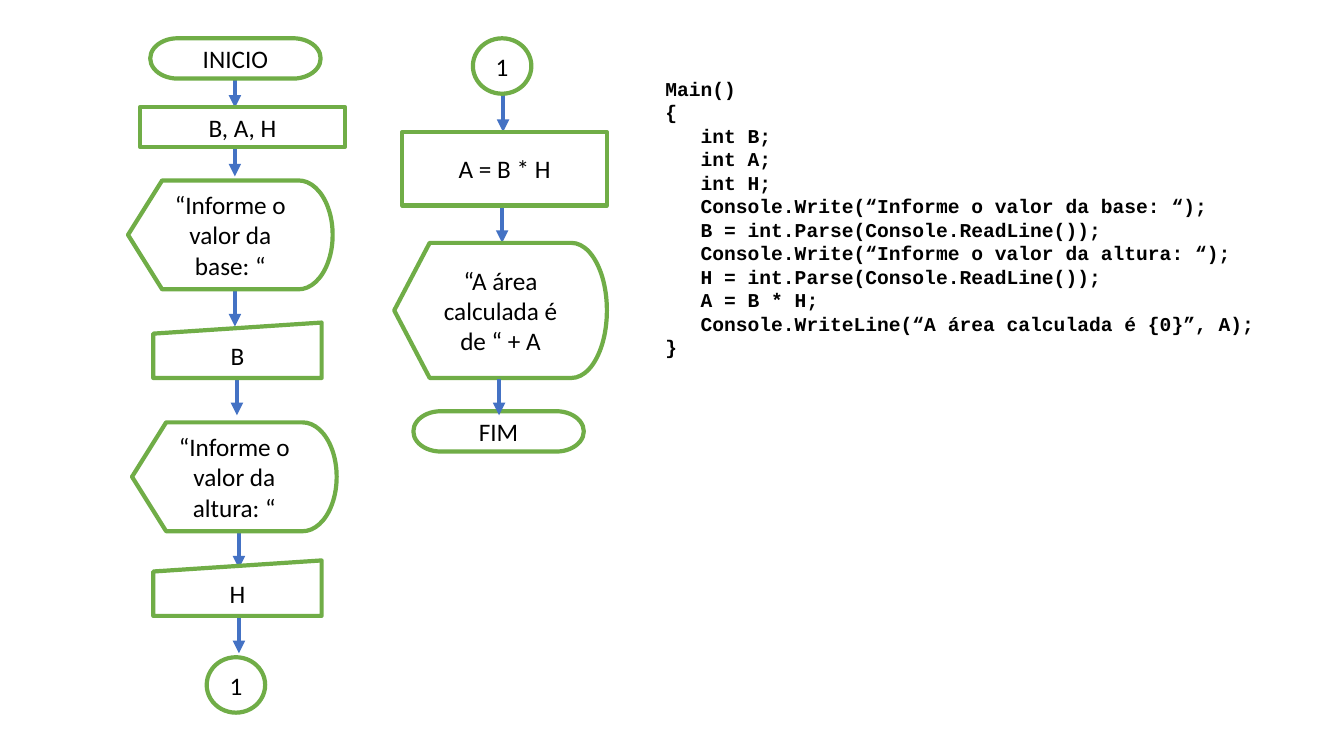
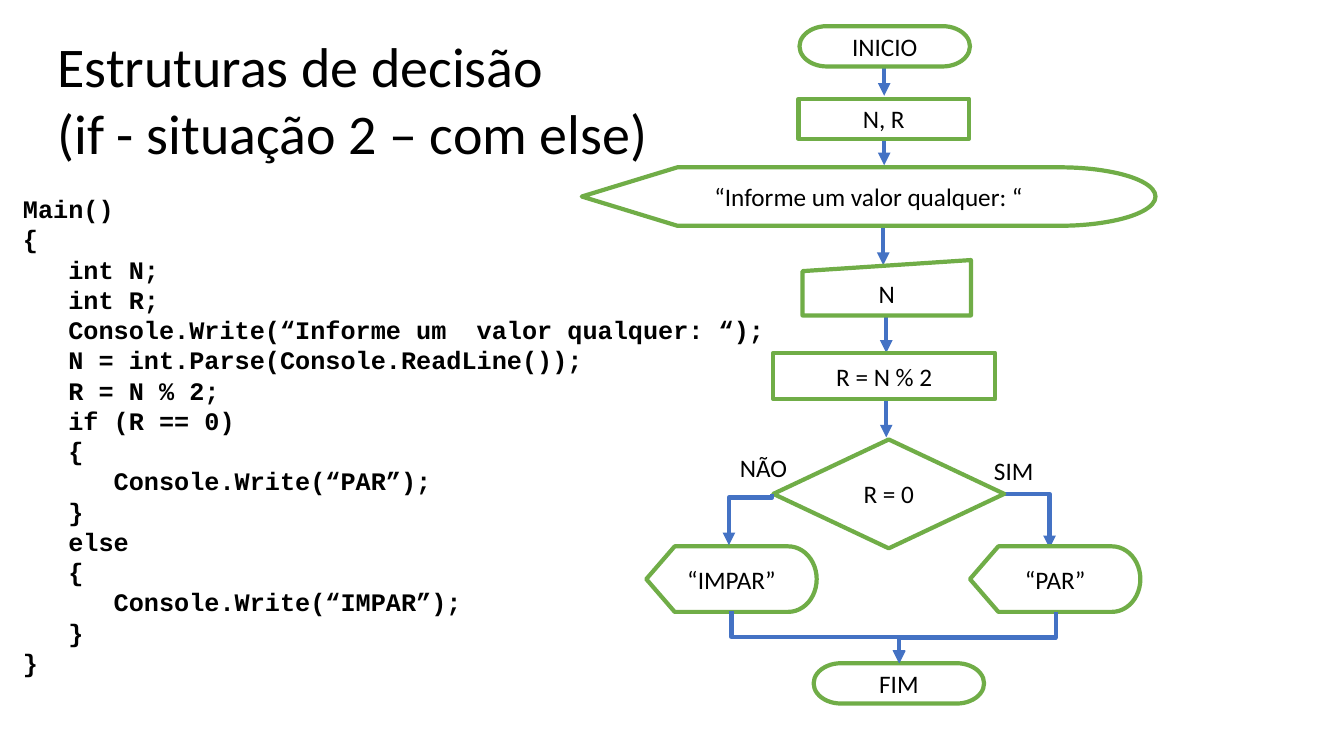
from lxml.etree import SubElement
from pptx import Presentation
from pptx.dml.color import RGBColor
from pptx.enum.shapes import MSO_CONNECTOR as LINE, MSO_SHAPE as SHAPE
from pptx.enum.text import MSO_ANCHOR as ANCHOR, MSO_AUTO_SIZE as FIT, PP_ALIGN as ALIGN
from pptx.oxml.ns import qn
from pptx.util import Inches, Pt

COLORS = {"fill": "FFFFFF", "outline": "70AD47", "arrow": "4472C4", "text": "000000"}
LABEL = {"name": "Calibri", "size": Pt(18), "bold": False}
TITLE = {"name": "Calibri", "size": Pt(40), "bold": False}
CODE_SMALL = {"name": "Courier New", "size": Pt(14), "bold": True}
CODE_LARGE = {"name": "Courier New", "size": Pt(18), "bold": True}
TAB = 3          # characters per code indent
CHAR_RATIO = 0.6  # Courier New character width / font size
LINE_WIDTH = Pt(3)

# Sizes shared by the flowchart symbols
TERMINAL = (1.69, 0.4)
INPUT = (1.67, 0.55)
LINK = (0.58, 0.55)
PROMPT = (2.03, 1.08)
RESULT = (1.69, 0.65)

AREA_CODE = """Main()
{
   int B;
   int A;
   int H;
   Console.Write(“Informe o valor da base: “);
   B = int.Parse(Console.ReadLine());
   Console.Write(“Informe o valor da altura: “);
   H = int.Parse(Console.ReadLine());
   A = B * H;
   Console.WriteLine(“A área calculada é {0}”, A);
}"""

PARITY_CODE = """Main()
{
   int N;
   int R;
   Console.Write(“Informe um  valor qualquer: “);
   N = int.Parse(Console.ReadLine());
   R = N % 2;
   if (R == 0)
   {
      Console.Write(“PAR”);
   }
   else
   {
      Console.Write(“IMPAR”);
   }
}"""


def color(name):
    return RGBColor.from_string(COLORS[name])


def write(tf, lines, style, align=ALIGN.LEFT):
    """Write one paragraph per line; leading spaces become a left margin."""
    for i, line in enumerate(lines):
        p = tf.paragraphs[0] if i == 0 else tf.add_paragraph()
        p.alignment = align
        text = line.lstrip()
        depth = (len(line) - len(text)) // TAB
        if depth:
            margin = int(depth * TAB * CHAR_RATIO * style["size"])
            p._p.get_or_add_pPr().set("marL", str(margin))
        r = p.add_run()
        r.text = text
        for key, value in style.items():
            setattr(r.font, key, value)
        r.font.color.rgb = color("text")


def add_text(s, left, top, width, height, text, style):
    box = s.shapes.add_textbox(*map(Inches, (left, top, width, height)))
    tf = box.text_frame
    tf.word_wrap = True
    write(tf, text.split("\n"), style)


def add_title(s, left, top, width, height, text):
    title = s.shapes.title
    title.left, title.top, title.width, title.height = map(Inches, (left, top, width, height))
    tf = title.text_frame
    for key, value in {"auto_size": FIT.NONE, "vertical_anchor": ANCHOR.TOP, "word_wrap": True}.items():
        setattr(tf, key, value)
    write(tf, text.split("\n"), TITLE)


def add_symbol(s, kind, left, top, size, text):
    sp = s.shapes.add_shape(kind, *map(Inches, (left, top, *size)))
    sp.shadow.inherit = False
    sp.fill.solid()
    sp.fill.fore_color.rgb = color("fill")
    sp.line.color.rgb = color("outline")
    sp.line.width = LINE_WIDTH
    sp.text_frame.word_wrap = True
    sp.text_frame.vertical_anchor = ANCHOR.MIDDLE
    write(sp.text_frame, [text], LABEL, ALIGN.CENTER)


def add_connector(s, kind, x1, y1, x2, y2):
    cxn = s.shapes.add_connector(kind, *map(Inches, (x1, y1, x2, y2)))
    cxn.line.color.rgb = color("arrow")
    cxn.line.width = LINE_WIDTH
    props = cxn._element.spPr
    SubElement(props.find(qn("a:ln")), qn("a:tailEnd"), type="triangle")
    SubElement(props, qn("a:effectLst"))
    return props


def add_arrow(s, x, top, bottom):
    add_connector(s, LINE.STRAIGHT, x, top, x, bottom)


def add_elbow(s, ends, turn=0, preset="bentConnector3", bend=None):
    """Draw a bent arrow between unrotated ends, then turn it by degrees."""
    props = add_connector(s, LINE.ELBOW, *ends)
    if turn:
        props.find(qn("a:xfrm")).set("rot", str(turn * 60000))
    geom = props.find(qn("a:prstGeom"))
    geom.set("prst", preset)
    if bend is not None:
        guides = geom.find(qn("a:avLst"))
        if guides is None:
            guides = SubElement(geom, qn("a:avLst"))
        SubElement(guides, qn("a:gd"), name="adj1", fmla=f"val {round(bend * 100000)}")


def build_area(s):
    # Arrows that run beneath the symbols
    for x, top, bottom in [
        (2.33, 0.78, 1.07), (2.33, 1.39, 1.75), (2.33, 2.87, 3.24),
        (2.35, 3.75, 4.12), (2.37, 5.27, 5.64), (2.37, 6.11, 6.48),
        (4.99, 0.94, 1.31), (4.98, 2.04, 2.41),
    ]:
        add_arrow(s, x, top, bottom)
    # Symbols, left column then right column
    for symbol in [
        (SHAPE.FLOWCHART_TERMINATOR, 1.49, 0.38, TERMINAL, "INICIO"),
        (SHAPE.RECTANGLE, 1.39, 1.06, (2.03, 0.4), "B, A, H"),
        (SHAPE.FLOWCHART_DISPLAY, 1.27, 1.79, PROMPT, "“Informe o valor da base: “"),
        (SHAPE.FLOWCHART_MANUAL_INPUT, 1.52, 3.2, INPUT, "B"),
        (SHAPE.FLOWCHART_DISPLAY, 1.31, 4.19, PROMPT, "“Informe o valor da altura: “"),
        (SHAPE.FLOWCHART_MANUAL_INPUT, 1.52, 5.56, INPUT, "H"),
        (SHAPE.FLOWCHART_CONNECTOR, 2.05, 6.52, LINK, "1"),
        (SHAPE.FLOWCHART_CONNECTOR, 4.69, 0.38, LINK, "1"),
        (SHAPE.RECTANGLE, 3.99, 1.31, (2.03, 0.73), "A = B * H"),
        (SHAPE.FLOWCHART_DISPLAY, 3.91, 2.41, (2.11, 1.34), "“A área calculada é de “ + A"),
        (SHAPE.FLOWCHART_TERMINATOR, 4.1, 4.08, TERMINAL, "FIM"),
    ]:
        add_symbol(s, *symbol)
    add_arrow(s, 4.95, 3.76, 4.12)
    add_text(s, 6.5, 0.71, 6.2, 2.93, AREA_CODE, CODE_SMALL)


def build_parity(s):
    add_title(s, 0.47, 0.26, 6.17, 1.45, "Estruturas de decisão\n(if - situação 2 – com else)")
    # Straight arrows and the SIM branch
    for x, top, bottom in [
        (8.77, 0.66, 0.95), (8.77, 1.27, 1.64), (8.76, 2.26, 2.63),
        (8.79, 3.14, 3.5), (8.79, 3.97, 4.34),
    ]:
        add_arrow(s, x, top, bottom)
    add_elbow(s, (9.95, 4.9, 10.41, 5.44), preset="bentConnector2")
    # Symbols
    for symbol in [
        (SHAPE.FLOWCHART_TERMINATOR, 7.93, 0.26, TERMINAL, "INICIO"),
        (SHAPE.RECTANGLE, 7.92, 0.98, (1.69, 0.4), "N, R"),
        (SHAPE.FLOWCHART_DISPLAY, 5.77, 1.66, (5.69, 0.58), "“Informe um valor qualquer: “"),
        (SHAPE.FLOWCHART_MANUAL_INPUT, 7.96, 2.58, INPUT, "N"),
        (SHAPE.RECTANGLE, 7.67, 3.5, (2.2, 0.46), "R = N % 2"),
        (SHAPE.FLOWCHART_DECISION, 7.67, 4.36, (2.29, 1.08), "R = 0"),
        (SHAPE.FLOWCHART_DISPLAY, 6.41, 5.42, RESULT, "“IMPAR”"),
        (SHAPE.FLOWCHART_DISPLAY, 9.62, 5.42, RESULT, "“PAR”"),
        (SHAPE.FLOWCHART_TERMINATOR, 8.07, 6.58, TERMINAL, "FIM"),
    ]:
        add_symbol(s, *symbol)
    # NÃO branch and the two paths that meet at FIM
    add_elbow(s, (7.19, 4.94, 7.7, 5.37), 90, bend=0.07)
    add_elbow(s, (9.44, 5.55, 9.95, 7.1), 90)
    add_elbow(s, (8.34, 5.49, 7.83, 7.15), 270)
    # Branch labels and code
    add_text(s, 9.76, 4.47, 0.82, 0.4, "SIM", LABEL)
    add_text(s, 7.24, 4.44, 0.78, 0.4, "NÃO", LABEL)
    add_text(s, 0.13, 1.87, 7.83, 5.25, PARITY_CODE, CODE_LARGE)


def main():
    prs = Presentation()
    prs.slide_width, prs.slide_height = Inches(13.33), Inches(7.5)
    title_only, blank = prs.slide_layouts[5], prs.slide_layouts[6]
    build_area(prs.slides.add_slide(blank))
    build_parity(prs.slides.add_slide(title_only))
    prs.save("out.pptx")


main()
